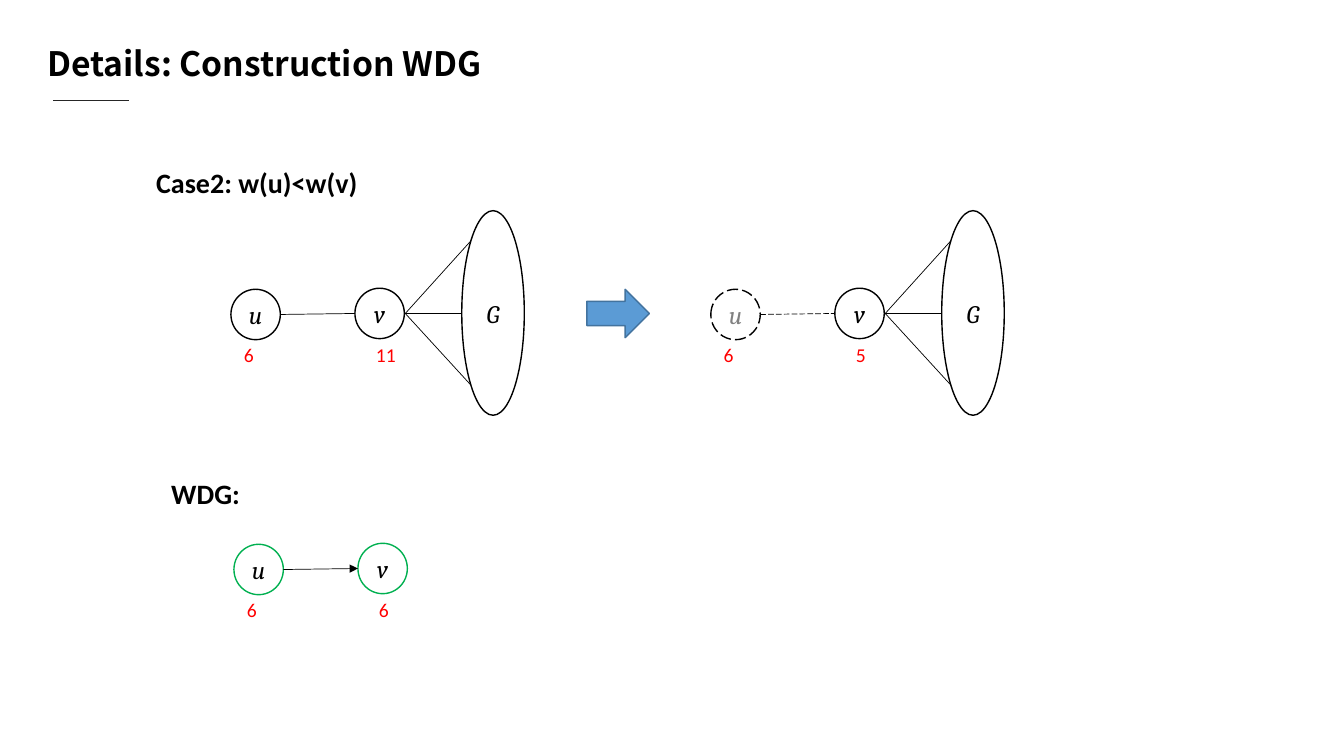
from pptx import Presentation
from pptx.dml.color import RGBColor as Rgb
from pptx.enum.dml import MSO_LINE as Dash
from pptx.enum.shapes import MSO_CONNECTOR as Conn, MSO_SHAPE as Form
from pptx.enum.text import MSO_ANCHOR as Anchor, MSO_AUTO_SIZE as Fit, PP_ALIGN as Align
from pptx.oxml.ns import qn
from pptx.util import Pt
from lxml.etree import SubElement

SCALE = 9144
COLORS = {
    "black": "000000", "white": "FFFFFF", "rule": "262626", "gray": "808080",
    "red": "FF0000", "green": "00B050", "blue": "5B9BD5", "navy": "43739E",
}


def px(n):
    return n * SCALE


def tint(name):
    return Rgb.from_string(COLORS[name])


def write(frame, text, size=18, font="Calibri", color="black", bold=False,
          italic=False, align=Align.LEFT, anchor=Anchor.TOP, inset=(10, 5)):
    frame.word_wrap = True
    frame.auto_size = Fit.NONE
    frame.vertical_anchor = anchor
    frame.margin_left = frame.margin_right = px(inset[0])
    frame.margin_top = frame.margin_bottom = px(inset[1])
    para = frame.paragraphs[0]
    para.alignment = align
    run = para.add_run()
    run.text = text
    run.font.name = font
    run.font.size = Pt(size)
    run.font.bold = bold
    run.font.italic = italic
    run.font.color.rgb = tint(color)


class Board:
    def __init__(self, deck):
        self.slide = deck.slides.add_slide(deck.slide_layouts[5])
        self.shapes = self.slide.shapes

    def title(self, text, x, y, w, h):
        box = self.shapes.title
        box.left, box.top, box.width, box.height = map(px, (x, y, w, h))
        write(box.text_frame, text, size=24, font="Noto Sans CJK SC",
              bold=True, inset=(7, 4))

    def label(self, text, x, y, w, h, **style):
        box = self.shapes.add_textbox(*map(px, (x, y, w, h)))
        write(box.text_frame, text, **style)

    def line(self, x1, y1, x2, y2, color="black", width=0.5, dash=None, head=False):
        link = self.shapes.add_connector(Conn.STRAIGHT, *map(px, (x1, y1, x2, y2)))
        link.line.color.rgb = tint(color)
        link.line.width = Pt(width)
        if dash:
            link.line.dash_style = dash
        if head:
            SubElement(link.line._get_or_add_ln(), qn("a:tailEnd"), type="triangle")
        SubElement(link._element.spPr, qn("a:effectLst"))

    def shape(self, form, x, y, w, h, fill=None, color="black", dash=None):
        item = self.shapes.add_shape(form, *map(px, (x, y, w, h)))
        item.shadow.inherit = False
        if fill:
            item.fill.solid()
            item.fill.fore_color.rgb = tint(fill)
        else:
            item.fill.background()
        item.line.color.rgb = tint(color)
        item.line.width = Pt(1)
        if dash:
            item.line.dash_style = dash
        return item

    def oval(self, text, x, y, w, h, ink="black", **style):
        item = self.shape(Form.OVAL, x, y, w, h, **style)
        write(item.text_frame, text, font="Cambria", color=ink, italic=True,
              align=Align.CENTER, anchor=Anchor.MIDDLE)

    def pair(self, x, y, left, right, color="black", ink="black", dash=None, head=False):
        self.oval("v", x + 123, y, 49, 50, fill="white", color=color)
        self.oval("u", x, y + 1, 49, 50, ink=ink, fill="white", color=color, dash=dash)
        self.line(x + 49, y + 26, x + 123, y + 25, dash=dash, head=head)
        for text, shift in ((left, 3), (right, 134)):
            self.label(text, x + shift, y + 49, 43, 34, size=14, color="red")

    def graph(self, x, y):
        for dx, dy in ((238, -47), (229, 25), (238, 96)):
            self.line(x + 173, y + 25, x + dx, y + dy)
        self.oval("G", x + 229, y - 77, 62, 203)


def main():
    deck = Presentation()
    deck.slide_width, deck.slide_height = px(1333), px(750)
    board = Board(deck)
    board.title("Details: Construction WDG", 40, 39, 836, 48)
    board.line(53, 100, 128, 100, color="rule", width=0.75)
    board.label("Case2: w(u)<w(v)", 145, 159, 229, 44, size=20, bold=True)
    board.pair(229, 286, "6", "11")
    board.graph(229, 286)
    board.shape(Form.RIGHT_ARROW, 582, 287, 62, 48, fill="blue", color="navy")
    board.pair(705, 286, "6", "5", ink="gray", dash=Dash.LONG_DASH)
    board.graph(705, 286)
    board.label("WDG:", 160, 468, 185, 44, size=20, bold=True)
    board.pair(232, 539, "6", "6", color="green", head=True)
    deck.save("out.pptx")


if __name__ == "__main__":
    main()
